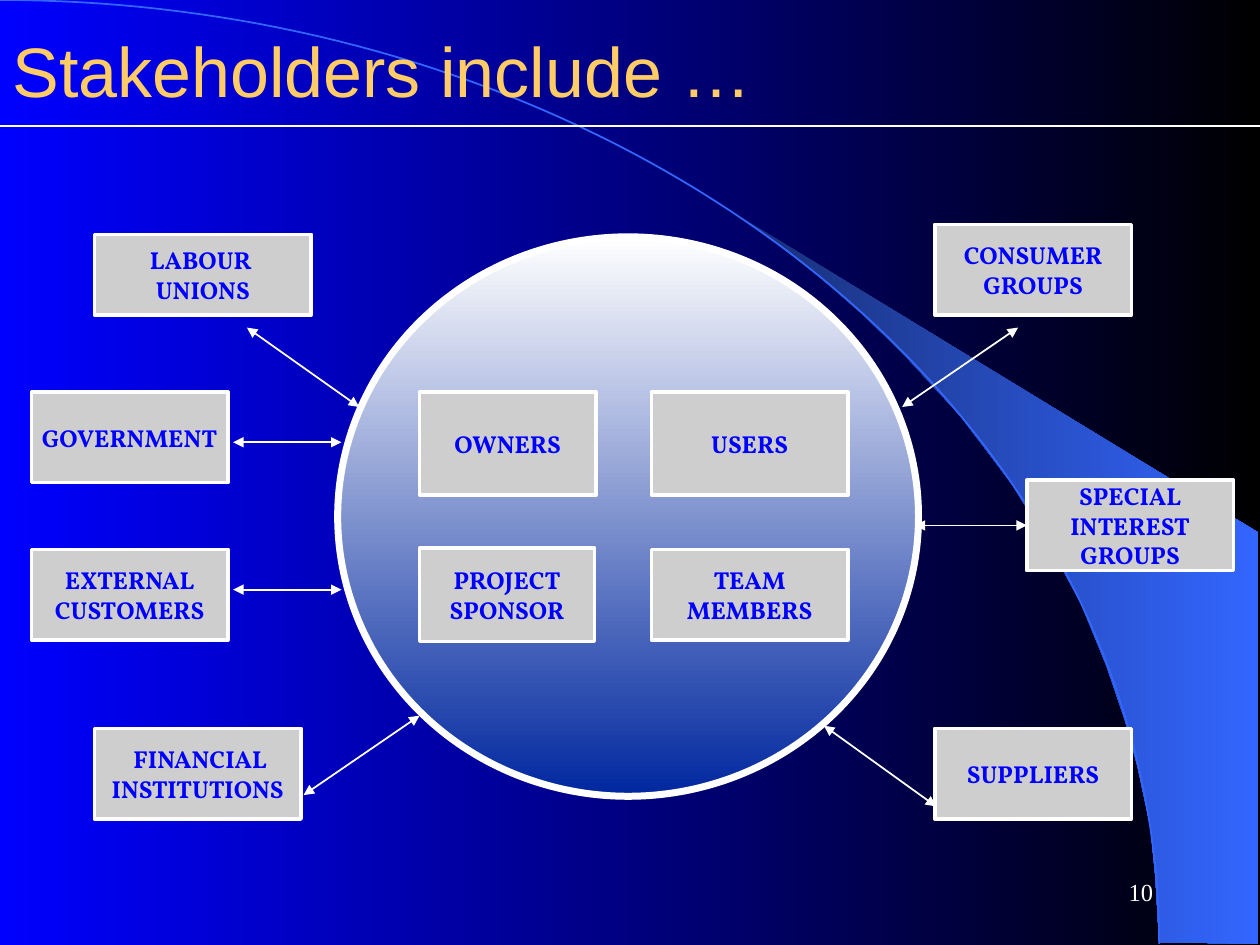
from math import cos, pi, sin

from lxml.etree import SubElement
from pptx import Presentation
from pptx.dml.color import RGBColor
from pptx.enum.shapes import MSO_CONNECTOR as CONN, MSO_SHAPE as SHAPE
from pptx.enum.text import MSO_ANCHOR as ANCHOR, MSO_AUTO_SIZE as AUTO, PP_ALIGN as ALIGN
from pptx.oxml.ns import qn
from pptx.util import Inches, Pt

WHITE, BLUE, GREY, GOLD, SKY = "FFFFFF", "0000FF", "CECECE", "FFCC66", "3366FF"
TITLE_FONT = {"name": "Arial", "size": Pt(40), "bold": False}
LABEL_FONT = {"name": "Vollkorn", "size": Pt(14), "bold": True}
NUMBER_FONT = {"name": "Times New Roman", "size": Pt(14), "bold": False}


def rgb(value):
    return RGBColor.from_string(value)


class Deck:
    """Holds the presentation style and the current slide."""

    def __init__(self, prs):
        self.s = prs.slides.add_slide(prs.slide_layouts[5])

    def gradient(self, fill, first, last, angle=0):
        fill.gradient()
        fill.gradient_angle = angle
        for stop, color in zip(fill.gradient_stops, (first, last)):
            stop.color.rgb = rgb(color)

    def outline(self, sp, color, width):
        sp.line.color.rgb = rgb(color)
        sp.line.width = Pt(width)

    def text(self, sp, lines, font, color, align, anchor, wrap=True):
        tf = sp.text_frame
        frame = {"auto_size": AUTO.NONE, "word_wrap": wrap, "vertical_anchor": anchor,
                 "margin_left": Inches(0.1), "margin_right": Inches(0.1),
                 "margin_top": Inches(0.05), "margin_bottom": Inches(0.05)}
        for key, value in frame.items():
            setattr(tf, key, value)
        for i, line in enumerate(lines):
            p = tf.add_paragraph() if i else tf.paragraphs[0]
            p.alignment = align
            r = p.add_run()
            r.text = line
            for key, value in font.items():
                setattr(r.font, key, value)
            r.font.color.rgb = rgb(color)

    def title(self, text, *box):
        sp = self.s.shapes.title
        sp.left, sp.top, sp.width, sp.height = map(Inches, box)
        self.text(sp, [text], TITLE_FONT, GOLD, ALIGN.LEFT, ANCHOR.TOP)
        # Bring the title in front of the decoration
        sp.element.getparent().append(sp.element)

    def number(self, text, *box):
        sp = self.s.shapes.add_textbox(*map(Inches, box))
        self.text(sp, [text], NUMBER_FONT, WHITE, ALIGN.RIGHT, ANCHOR.MIDDLE)

    def freeform(self, points, close):
        points = [(Inches(x), Inches(y)) for x, y in points]
        fb = self.s.shapes.build_freeform(*points[0])
        fb.add_line_segments(points[1:], close=close)
        sp = fb.convert_to_shape()
        sp.shadow.inherit = False
        return sp

    def shape(self, kind, box, width):
        sp = self.s.shapes.add_shape(kind, *map(Inches, box))
        sp.shadow.inherit = False
        self.outline(sp, WHITE, width)
        return sp

    def box(self, label, *box):
        sp = self.shape(SHAPE.RECTANGLE, box, 2)
        sp.fill.solid()
        sp.fill.fore_color.rgb = rgb(GREY)
        self.text(sp, label.split("\n"), LABEL_FONT, BLUE, ALIGN.CENTER, ANCHOR.MIDDLE, False)
        return sp

    def line(self, *ends, arrows=False):
        cn = self.s.shapes.add_connector(CONN.STRAIGHT, *map(Inches, ends))
        self.outline(cn, WHITE, 1)
        if arrows:
            ln = cn.element.spPr.find(qn("a:ln"))
            for end in ("a:headEnd", "a:tailEnd"):
                SubElement(ln, qn(end), type="triangle")
        SubElement(cn.element.spPr, qn("a:effectLst"))
        return cn


def main():
    prs = Presentation()
    prs.slide_width, prs.slide_height = Inches(10), Inches(7.5)
    deck = Deck(prs)

    # Background with the blue wedge, the quarter arc and the title rule
    deck.gradient(deck.s.background.fill, BLUE, "000000")
    wedge = deck.freeform([
        (9.2, 7.48), (9.99, 7.49), (9.99, 4.23), (5.89, 1.73), (6.24, 1.99), (6.53, 2.22),
        (6.85, 2.5), (7.16, 2.8), (7.62, 3.3), (8.03, 3.84), (8.32, 4.31), (8.58, 4.79),
        (8.78, 5.28), (8.93, 5.72), (9.03, 6.09), (9.13, 6.56), (9.17, 6.96)], True)
    deck.gradient(wedge.fill, "182F76", SKY)
    wedge.line.fill.background()
    steps = 90
    angles = [i * pi / 2 / steps for i in range(steps + 1)]
    arc = deck.freeform([(9.2 * sin(a), 7.49 * (1 - cos(a))) for a in angles], False)
    arc.fill.background()
    deck.outline(arc, SKY, 1)
    deck.line(0, 1, 10, 1)

    # Slide number and title
    deck.number("10", 7.17, 6.83, 2.08, 0.5)
    deck.title("Stakeholders include …", 0, 0.17, 8.5, 1.17)

    # External stakeholders
    for label, *place in [
        ("GOVERNMENT", 0.25, 3.11, 1.56, 0.72),
        (" FINANCIAL\nINSTITUTIONS", 0.75, 5.78, 1.64, 0.72),
        ("EXTERNAL\nCUSTOMERS", 0.25, 4.36, 1.56, 0.72),
        ("SUPPLIERS", 7.42, 5.78, 1.56, 0.72),
        ("LABOUR \nUNIONS", 0.75, 1.86, 1.72, 0.64),
        ("CONSUMER\nGROUPS", 7.42, 1.78, 1.56, 0.72),
    ]:
        deck.box(label, *place)
    special = deck.box("SPECIAL\nINTEREST\nGROUPS", 8.15, 3.81, 1.64, 0.72)

    # Project circle with the internal stakeholders
    circle = deck.shape(SHAPE.OVAL, (2.68, 1.88, 4.61, 4.44), 4)
    deck.gradient(circle.fill, WHITE, "00279F", 270)
    for label, *place in [
        ("TEAM\nMEMBERS", 5.17, 4.36, 1.56, 0.72),
        ("USERS", 5.17, 3.11, 1.56, 0.82),
        ("PROJECT\nSPONSOR", 3.33, 4.35, 1.39, 0.74),
        ("OWNERS", 3.33, 3.11, 1.4, 0.82),
    ]:
        deck.box(label, *place)

    # Two-way arrows between the circle and the external stakeholders
    for ends in [
        (1.96, 2.6, 2.85, 3.23), (3.33, 5.68, 2.41, 6.31),
        (1.85, 3.51, 2.71, 3.51), (1.85, 4.68, 2.71, 4.68),
        (8.08, 2.6, 7.16, 3.23), (6.54, 5.76, 7.43, 6.4),
    ]:
        deck.line(*ends, arrows=True)
    deck.line(7.26, 4.17, 8.15, 4.17, arrows=True).end_connect(special, 1)

    prs.save("out.pptx")


if __name__ == "__main__":
    main()
